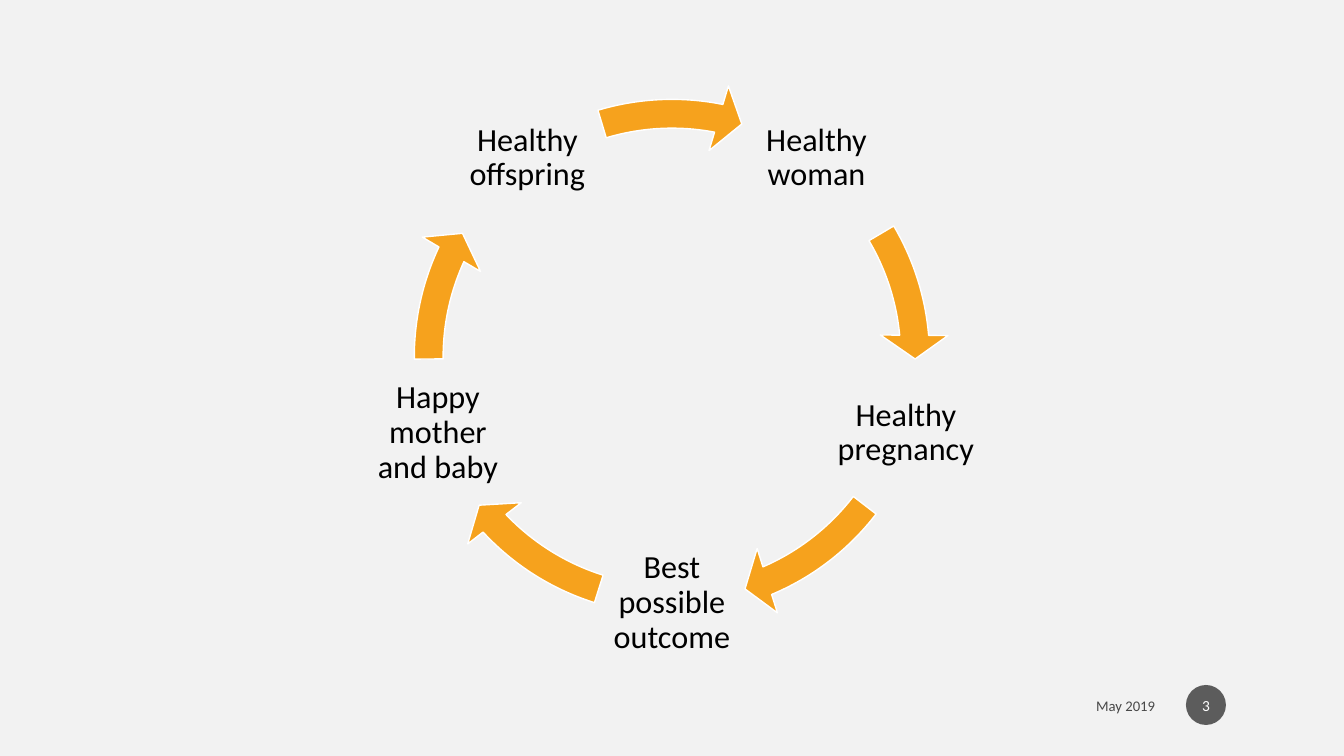
"""Build a slide with a five-step cycle of maternal health."""
from dataclasses import dataclass
from math import cos, radians, sin

from lxml.etree import SubElement
from pptx import Presentation
from pptx.dml.color import RGBColor
from pptx.enum.shapes import MSO_SHAPE as Preset
from pptx.enum.text import MSO_ANCHOR as Anchor, PP_ALIGN as Align
from pptx.oxml.ns import qn
from pptx.util import Emu, Pt

EMU_PER_PX = 914400 / 100.8


@dataclass(frozen=True)
class Theme:
    """Colours, font and type sizes of the slide."""
    background: str = "F2F2F2"
    arrow: str = "F6A21D"
    light: str = "FFFFFF"
    text: str = "000000"
    badge: str = "1D1D1D"
    font: str = "Calibri"
    step_size: float = 23
    date_size: float = 10.5
    number_size: float = 11
    footer_opacity: int = 70


def px(length):
    """Turn pixels into EMU."""
    return Emu(round(length * EMU_PER_PX))


def paint(fill, colour):
    """Give a fill one solid colour."""
    fill.solid()
    fill.fore_color.rgb = RGBColor.from_string(colour)


def fade(element, percent):
    """Set the opacity of the first colour in an element."""
    colour = next(element.iter(qn("a:srgbClr")))
    SubElement(colour, qn("a:alpha"), val=str(percent * 1000))


class CycleSlide:
    """A slide with its theme and a method for each kind of element."""

    def __init__(self, slide, theme):
        self.slide = slide
        self.theme = theme
        paint(slide.background.fill, theme.background)

    def words(self, shape, text, size, colour, align, insets, spacing=1.0):
        """Put one run of text into a shape."""
        frame = shape.text_frame
        frame.word_wrap = True
        frame.vertical_anchor = Anchor.MIDDLE
        frame.margin_left = frame.margin_right = px(insets[0])
        frame.margin_top = frame.margin_bottom = px(insets[1])
        paragraph = frame.paragraphs[0]
        paragraph.alignment = align
        paragraph.line_spacing = spacing
        run = paragraph.add_run()
        run.text = text
        run.font.name = self.theme.font
        run.font.size = Pt(size)
        paint(run.font.fill, colour)
        return run

    def shape(self, preset, box, colour):
        """Add a filled preset shape without shadow."""
        shape = self.slide.shapes.add_shape(preset, *map(px, box))
        shape.shadow.inherit = False
        paint(shape.fill, colour)
        return shape

    def step(self, text, centre, side):
        """Add the label of one step, centred on a point."""
        box = [centre[0] - side / 2, centre[1] - side / 2, side, side]
        label = self.slide.shapes.add_textbox(*map(px, box))
        self.words(label, text, self.theme.step_size, self.theme.text,
                   Align.CENTER, (3, 3), 0.9)

    def arrow(self, box, tail_angle, head_angle):
        """Add a curved arrow between two angles in degrees."""
        arrow = self.shape(Preset.CIRCULAR_ARROW, box, self.theme.arrow)
        paint(arrow.line.fill, self.theme.light)
        arrow.line.width = Pt(1)
        settings = 0.052, 3.36, head_angle * 0.6, tail_angle * 0.6, 0.061
        for index, setting in enumerate(settings):
            arrow.adjustments[index] = setting

    def date(self, text, box):
        """Add the date in the footer."""
        date = self.slide.shapes.add_textbox(*map(px, box))
        run = self.words(date, text, self.theme.date_size, self.theme.text,
                         Align.RIGHT, (10, 5))
        fade(run._r, self.theme.footer_opacity)

    def number(self, text, box):
        """Add the round slide number."""
        badge = self.shape(Preset.OVAL, box, self.theme.badge)
        badge.line.fill.background()
        fade(badge._element.spPr, self.theme.footer_opacity)
        self.words(badge, text, self.theme.number_size, self.theme.light,
                   Align.CENTER, (2, 5))


STEPS = [
    ("Healthy woman", 329.44, 354.88),
    ("Healthy pregnancy", 37.56, 66.91),
    ("Best possible outcome", 107.5, 136.84),
    ("Happy mother and baby", 179.52, 204.96),
    ("Healthy offspring", 253.31, 281.09),
]
CENTRE_X, CENTRE_Y = 672, 357
STEP_RADIUS, STEP_SIDE, RING_SIDE = 246, 148, 554
FIRST_ANGLE = -54


def main():
    """Build and save the slide."""
    deck = Presentation()
    deck.slide_width, deck.slide_height = px(1344), px(756)
    cycle = CycleSlide(deck.slides.add_slide(deck.slide_layouts[6]), Theme())
    ring = (CENTRE_X - RING_SIDE // 2, CENTRE_Y - RING_SIDE // 2,
            RING_SIDE, RING_SIDE)
    for index, (text, tail_angle, head_angle) in enumerate(STEPS):
        angle = radians(FIRST_ANGLE + index * 360 / len(STEPS))
        centre = (CENTRE_X + STEP_RADIUS * cos(angle),
                  CENTRE_Y + STEP_RADIUS * sin(angle))
        cycle.step(text, centre, STEP_SIDE)
        cycle.arrow(ring, tail_angle, head_angle)
    cycle.date("May 2019", (862, 688, 303, 35))
    cycle.number("3", (1186, 685, 40, 40))
    deck.save("out.pptx")


if __name__ == "__main__":
    main()
